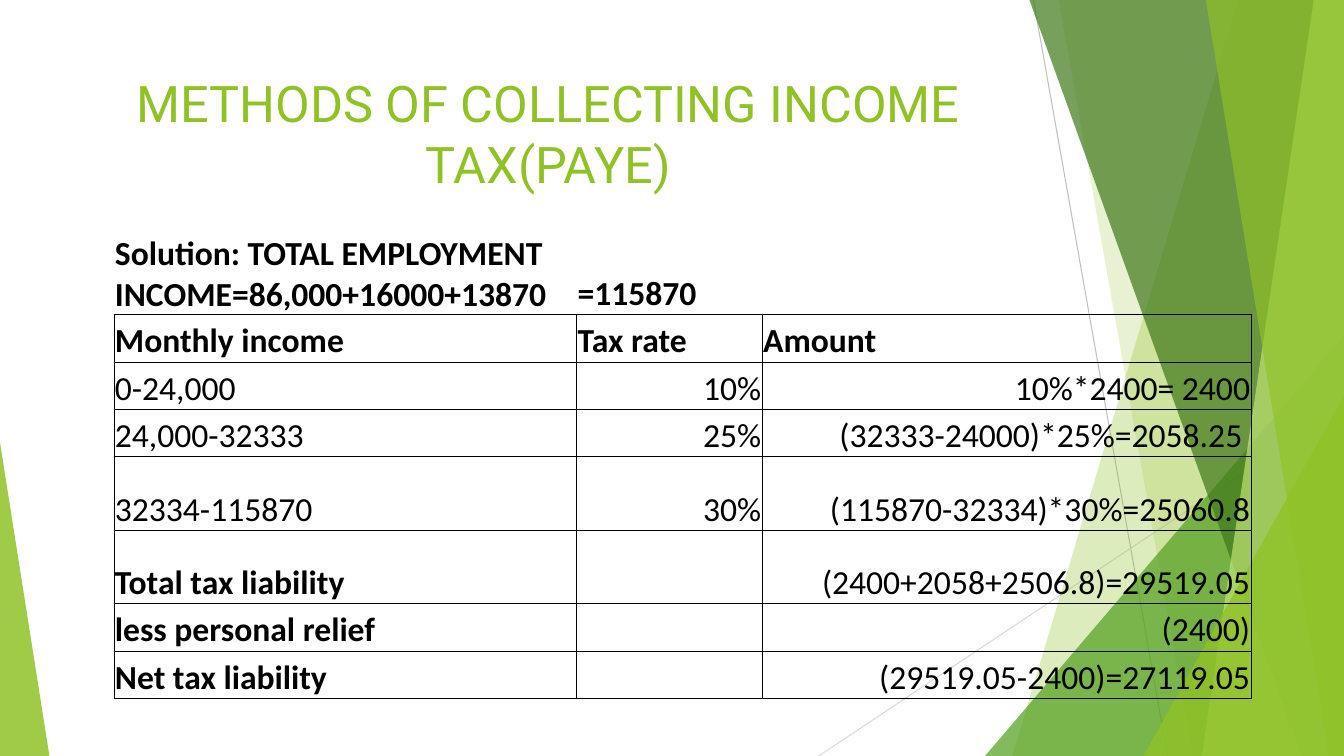
from dataclasses import dataclass

from lxml.etree import SubElement
from pptx import Presentation
from pptx.dml.color import RGBColor
from pptx.enum.shapes import MSO_CONNECTOR, MSO_SHAPE
from pptx.enum.text import MSO_ANCHOR, PP_ALIGN
from pptx.oxml.ns import qn
from pptx.util import Inches, Pt


@dataclass(frozen=True)
class Theme:
    lime: str = "90C226"
    green: str = "54A021"
    dark: str = "3F7819"
    pale: str = "C0E474"
    ink: str = "000000"
    gray: str = "BFBFBF"
    mist: str = "D9D9D9"
    head: str = "Roboto"
    body: str = "Calibri"
    big: int = 36
    text: int = 24
    rule: float = 0.5
    hair: float = 0.75


THEME = Theme()
WIDE, HIGH = 13.33, 7.5

ROWS = [
    ("Solution: TOTAL EMPLOYMENT INCOME=86,000+16000+13870", "=115870", ""),
    ("Monthly income", "Tax rate", "Amount"),
    ("0-24,000", "10%", "10%*2400= 2400"),
    ("24,000-32333", "25%", "(32333-24000)*25%=2058.25 "),
    ("32334-115870", "30%", "(115870-32334)*30%=25060.8"),
    ("Total tax liability", "", "(2400+2058+2506.8)=29519.05"),
    ("less personal relief", "", "(2400)"),
    ("Net tax liability", "", "(29519.05-2400)=27119.05"),
]
COLS = (4.59, 1.84, 4.85)
LOW, TALL = 0.47, 0.73
TALL_ROWS = (4, 5)
HEAD_ROWS = 2
BOLD_FROM = 5


def apply(thing, form):
    for name, value in form.items():
        setattr(thing, name, value)


def write(para, text, face, size, tint, bold, align):
    para.text = text
    para.alignment = align
    apply(para.font, {"name": face, "size": Pt(size), "bold": bold})
    para.font.color.rgb = RGBColor.from_string(tint)


def paint(shape, tint, alpha):
    shape.shadow.inherit = False
    shape.line.fill.background()
    shape.fill.solid()
    shape.fill.fore_color.rgb = RGBColor.from_string(tint)
    color = shape.fill._xPr.find(qn("a:solidFill"))[0]
    SubElement(color, qn("a:alpha"), val=str(alpha * 1000))


def add_line(slide, start, end, tint):
    points = [Inches(v) for v in (*start, *end)]
    line = slide.shapes.add_connector(MSO_CONNECTOR.STRAIGHT, *points)
    line.line.width = Pt(THEME.hair)
    line.line.color.rgb = RGBColor.from_string(tint)
    SubElement(line._element.spPr, qn("a:effectLst"))


def add_band(slide, top, base, tint, alpha):
    form = slide.shapes.build_freeform(Inches(top), 0)
    points = [(WIDE, 0), (WIDE, HIGH), (base, HIGH)]
    form.add_line_segments([(Inches(x), Inches(y)) for x, y in points], close=True)
    paint(form.convert_to_shape(), tint, alpha)


def add_wedge(slide, left, width, height, peak, tint, alpha):
    box = [Inches(v) for v in (left, HIGH - height, width, height)]
    wedge = slide.shapes.add_shape(MSO_SHAPE.ISOSCELES_TRIANGLE, *box)
    wedge.adjustments[0] = peak
    paint(wedge, tint, alpha)


def add_decor(slide):
    add_line(slide, (10.25, 0), (11.58, HIGH), THEME.gray)
    add_line(slide, (WIDE, 4.03), (8.12, HIGH), THEME.mist)
    add_band(slide, 12.28, 10.04, THEME.lime, 30)
    add_band(slide, 10.5, 11.83, THEME.lime, 20)
    add_wedge(slide, 9.77, 3.56, 4.17, 1, THEME.green, 72)
    add_band(slide, 10.21, 12.91, THEME.dark, 70)
    add_band(slide, 13.03, 11.92, THEME.pale, 70)
    add_band(slide, 11.96, 13.18, THEME.lime, 65)
    add_wedge(slide, 11.34, 1.99, 3.57, 1, THEME.lime, 80)
    add_wedge(slide, 0, 0.49, 3.11, 0, THEME.lime, 85)


def add_title(slide, left, top, width, height):
    box = [Inches(v) for v in (left, top, width, height)]
    frame = slide.shapes.add_textbox(*box).text_frame
    apply(frame, {"word_wrap": True, "vertical_anchor": MSO_ANCHOR.TOP})
    write(frame.paragraphs[0], "METHODS OF COLLECTING INCOME TAX(PAYE)",
          THEME.head, THEME.big, THEME.lime, False, PP_ALIGN.CENTER)


def add_edges(cell, shown):
    props = cell._tc.get_or_add_tcPr()
    for side in "LRTB":
        edge = SubElement(props, qn("a:ln" + side), w=str(Pt(THEME.rule)))
        if side in shown:
            fill = SubElement(edge, qn("a:solidFill"))
            SubElement(fill, qn("a:srgbClr"), val=THEME.ink)
        else:
            SubElement(edge, qn("a:noFill"))


def add_tax(slide, left, top):
    high = [TALL if i in TALL_ROWS else LOW for i in range(len(ROWS))]
    box = [Inches(v) for v in (left, top, sum(COLS), sum(high))]
    table = slide.shapes.add_table(len(ROWS), len(COLS), *box).table
    apply(table, {"first_row": False, "horz_banding": False})
    for col, width in zip(table.columns, COLS):
        col.width = Inches(width)
    inset = Inches(0.01)
    form = {"vertical_anchor": MSO_ANCHOR.BOTTOM, "margin_left": inset,
            "margin_right": inset, "margin_top": inset, "margin_bottom": 0}
    for i, words in enumerate(ROWS):
        table.rows[i].height = Inches(high[i])
        for j, text in enumerate(words):
            cell = table.cell(i, j)
            apply(cell, form)
            add_edges(cell, "LRTB" if i else "B")
            cell.fill.background()
            bold = i < HEAD_ROWS or (j == 0 and i >= BOLD_FROM)
            right = j > 0 and i >= HEAD_ROWS
            align = PP_ALIGN.RIGHT if right else PP_ALIGN.LEFT
            write(cell.text_frame.paragraphs[0], text, THEME.body,
                  THEME.text, THEME.ink, bold, align)


def main():
    deck = Presentation()
    apply(deck, {"slide_width": Inches(WIDE), "slide_height": Inches(HIGH)})
    slide = deck.slides.add_slide(deck.slide_layouts[6])
    add_decor(slide)
    add_title(slide, 0.74, 0.67, 9.4, 1.44)
    add_tax(slide, 1.13, 2.31)
    deck.save("out.pptx")


if __name__ == "__main__":
    main()
